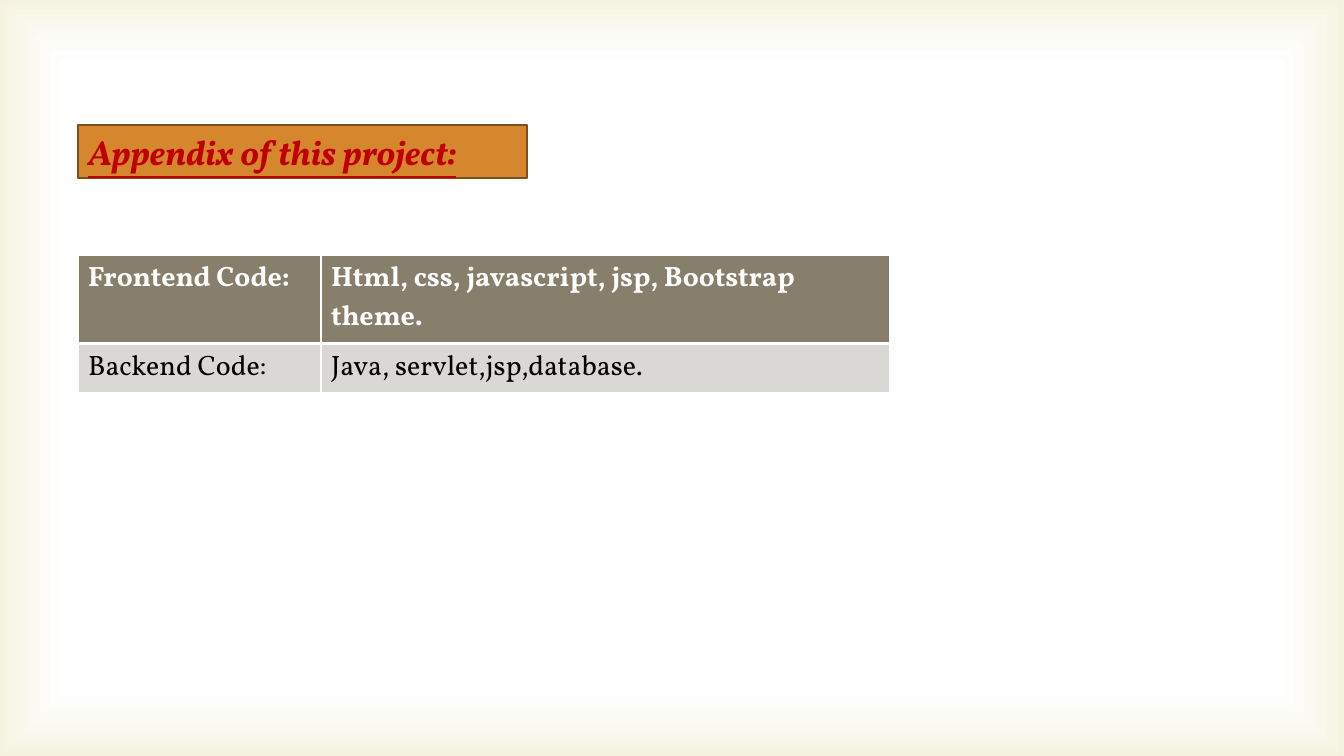
import dataclasses

import pptx
import pptx.dml.color
import pptx.enum.dml
import pptx.enum.shapes
import pptx.enum.text
import pptx.oxml
import pptx.oxml.ns
import pptx.util

EMU_PER_PX = 914400 / 100.8


@dataclasses.dataclass(frozen=True)
class Theme:
    font: str = "Vollkorn"
    title_size: int = 25
    table_size: int = 20
    title_text: str = "C00000"
    title_fill: str = "D6862D"
    title_line: str = "7D4F1A"
    header_text: str = "FFFFFF"
    header_fill: str = "877F6C"
    body_text: str = "000000"
    body_fill: str = "D9D8D4"
    border: str = "FFFFFF"
    glow_centre: str = "FFFFFF"
    glow_edge: str = "D1CA75"


THEME = Theme()
CODE_ROWS = [
    ("Frontend Code:", "Html, css, javascript, jsp, Bootstrap theme."),
    ("Backend Code:", "Java, servlet,jsp,database."),
]


def px(length):
    return pptx.util.Emu(round(length * EMU_PER_PX))


def rgb(value):
    return pptx.dml.color.RGBColor.from_string(value)


def paint(target, color):
    target.fill.solid()
    target.fill.fore_color.rgb = rgb(color)


def add_run(paragraph, text, size, color, bold=False, italic=False, underline=False):
    run = paragraph.add_run()
    run.text = text
    font = run.font
    font.name, font.size = THEME.font, pptx.util.Pt(size)
    font.bold, font.italic, font.underline = bold, italic, underline
    font.color.rgb = rgb(color)


def add_edge_glow(slide, box):
    """Lay a translucent gradient, tinted towards the edges, behind everything."""
    glow = slide.shapes.add_shape(
        pptx.enum.shapes.MSO_SHAPE.RECTANGLE, *map(px, box))
    glow.shadow.inherit = False
    glow.line.fill.background()
    stops = "".join(
        f'<a:gs pos="{pos * 1000}"><a:srgbClr val="{color}">'
        f'<a:alpha val="{alpha * 1000}"/></a:srgbClr></a:gs>'
        for pos, color, alpha in [(83, THEME.glow_centre, 11),
                                  (100, THEME.glow_edge, 23)])
    gradient = pptx.oxml.parse_xml(
        f'<a:gradFill {pptx.oxml.ns.nsdecls("a")} rotWithShape="1">'
        f'<a:gsLst>{stops}</a:gsLst><a:path path="rect">'
        '<a:fillToRect l="50000" t="50000" r="50000" b="50000"/>'
        '</a:path></a:gradFill>')
    glow._element.spPr.find(pptx.oxml.ns.qn("a:prstGeom")).addnext(gradient)
    slide.shapes._spTree.insert(2, glow._element)


def place_title(slide, box):
    title = slide.shapes.title
    title.left, title.top, title.width, title.height = map(px, box)
    paint(title, THEME.title_fill)
    title.line.color.rgb = rgb(THEME.title_line)
    title.line.width = pptx.util.Pt(1.5)
    frame = title.text_frame
    frame.word_wrap = True
    frame.auto_size = pptx.enum.text.MSO_AUTO_SIZE.NONE
    frame.vertical_anchor = pptx.enum.text.MSO_ANCHOR.TOP
    paragraph = frame.paragraphs[0]
    paragraph.alignment = pptx.enum.text.PP_ALIGN.LEFT
    add_run(paragraph, "Appendix of this project:", THEME.title_size,
            THEME.title_text, bold=True, italic=True, underline=True)


def set_borders(cell, top, bottom):
    widths = {"lnL": 1, "lnR": 1, "lnT": top, "lnB": bottom}
    properties = cell._tc.get_or_add_tcPr()
    for position, (side, points) in enumerate(widths.items()):
        properties.insert(position, pptx.oxml.parse_xml(
            f'<a:{side} {pptx.oxml.ns.nsdecls("a")} w="{pptx.util.Pt(points)}">'
            f'<a:solidFill><a:srgbClr val="{THEME.border}"/></a:solidFill>'
            f'</a:{side}>'))


def add_code_table(slide, box, label_width, header_height):
    left, top, width, height = box
    table = slide.shapes.add_table(
        len(CODE_ROWS), 2, px(left), px(top), px(width), px(height)).table
    for column, column_width in zip(table.columns, (label_width, width - label_width)):
        column.width = px(column_width)
    for row, row_height in zip(table.rows, (header_height, height - header_height)):
        row.height = px(row_height)
    for r, texts in enumerate(CODE_ROWS):
        header = r == 0
        for c, text in enumerate(texts):
            cell = table.cell(r, c)
            paint(cell, THEME.header_fill if header else THEME.body_fill)
            set_borders(cell, *((1, 3) if header else (3, 1)))
            add_run(cell.text_frame.paragraphs[0], text, THEME.table_size,
                    THEME.header_text if header else THEME.body_text, bold=header)


def build_appendix_slide(deck, box):
    left, top, width, height = box
    slide = deck.slides.add_slide(deck.slide_layouts[5])
    add_edge_glow(slide, box)
    margin = left + 78
    place_title(slide, (margin, top + 125, 449, 53))
    add_code_table(slide, (margin, top + 255, 812, 131),
                   label_width=243, header_height=83)


def main():
    deck = pptx.Presentation()
    deck.slide_width, deck.slide_height = px(1344), px(756)
    build_appendix_slide(deck, (0, 0, 1344, 756))
    deck.save("out.pptx")


if __name__ == "__main__":
    main()
